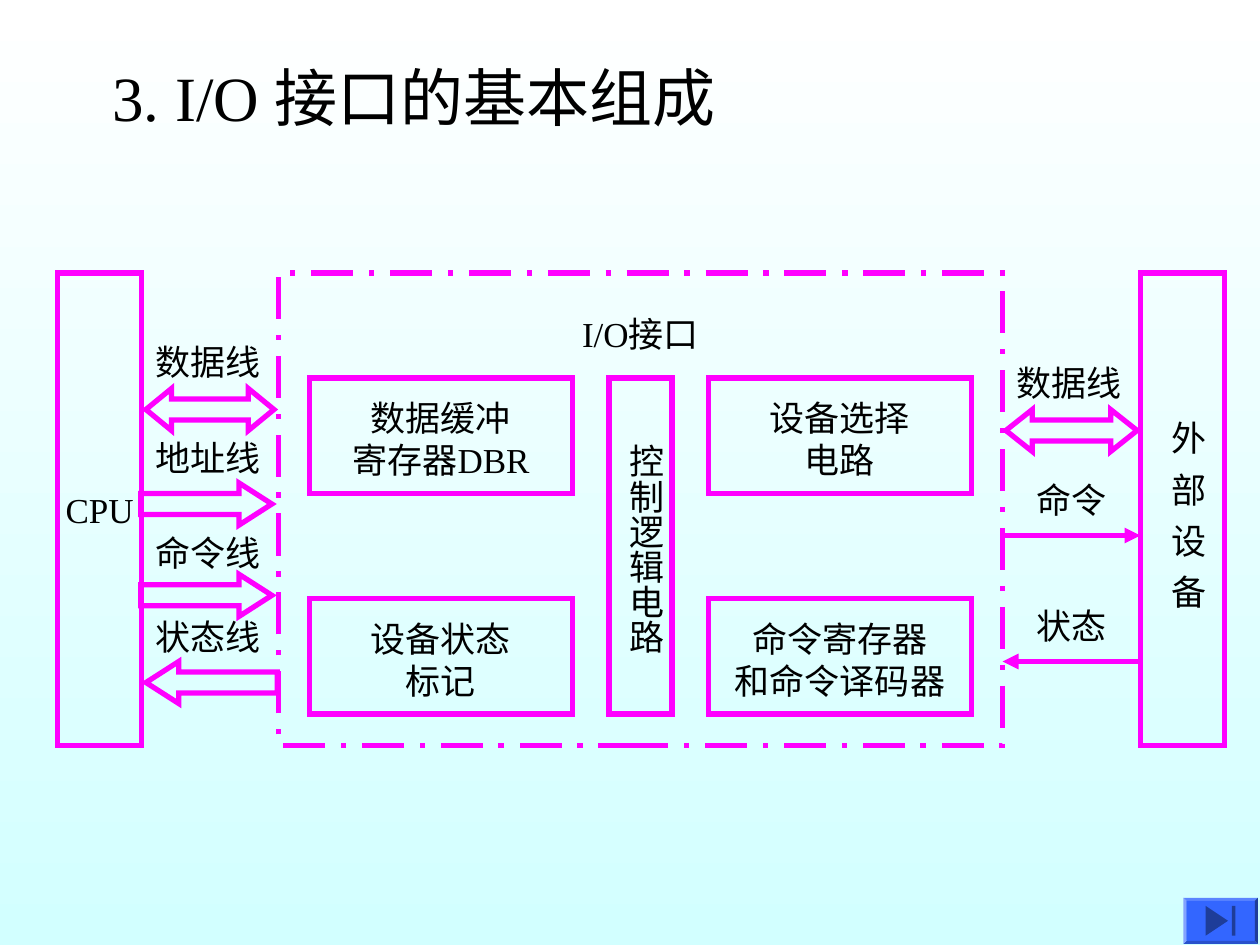
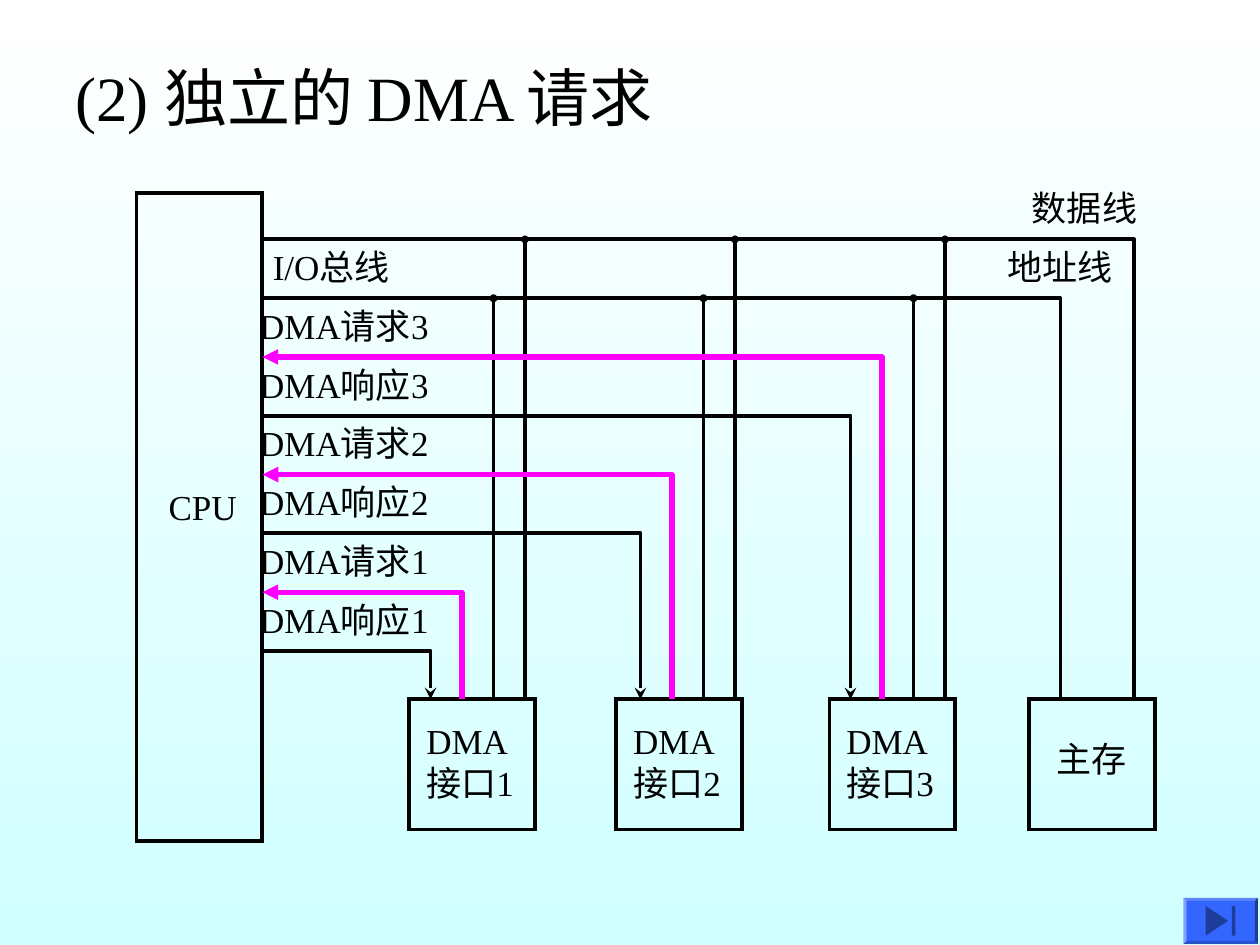
from dataclasses import dataclass

from lxml import etree
from pptx import Presentation, util as u
from pptx.dml.color import RGBColor
from pptx.enum import dml, shapes, text
from pptx.oxml.ns import qn

COLORS = {
    "ink": "000000",
    "accent": "FF00FF",
    "sky_top": "FFFFFF",
    "sky_bottom": "D2FFFF",
    "button": "3366FF",
}
FONT = "Times New Roman"
BODY_SIZE, TITLE_SIZE = 20, 36
THIN, THICK = 2.25, 3
WIDTH, HEIGHT = u.Inches(10), u.Inches(7.5)
COLUMNS, ROWS = 120, 90
LABEL_ROWS = 5.3
CENTER, LEFT = text.PP_ALIGN.CENTER, text.PP_ALIGN.LEFT
MIDDLE, TOP = text.MSO_ANCHOR.MIDDLE, text.MSO_ANCHOR.TOP
KIND = shapes.MSO_SHAPE


@dataclass(frozen=True)
class Area:
    col: float
    row: float
    cols: float
    rows: float

    def emu(self) -> tuple[int, int, int, int]:
        return x(self.col), y(self.row), x(self.cols), y(self.rows)


@dataclass(frozen=True)
class Block:
    area: Area
    words: str = ""
    align: int = CENTER
    anchor: int = MIDDLE
    inset_left: float = 0
    inset_top: float = 0
    inset_bottom: float = 0
    vertical: bool = False
    spacing: float = 0
    dashed: bool = False


@dataclass(frozen=True)
class Label:
    col: float
    row: float
    cols: float
    words: str


@dataclass(frozen=True)
class BusArrow:
    kind: int
    area: Area
    head: float
    turn: float = 0


@dataclass(frozen=True)
class Wire:
    points: tuple[tuple[float, float], ...]
    color: str = "ink"
    width: float = THIN
    start: str = ""
    end: str = ""


def x(col: float) -> int:
    return round(WIDTH * col / COLUMNS)


def y(row: float) -> int:
    return round(HEIGHT * row / ROWS)


def rgb(name: str) -> RGBColor:
    return RGBColor.from_string(COLORS[name])


def write(frame, words: str, size: float = BODY_SIZE, align: int = LEFT, spacing: float = 0) -> None:
    frame.text = words
    for paragraph in frame.paragraphs:
        paragraph.alignment = align
        for run in paragraph.runs:
            run.font.name = FONT
            run.font.size = u.Pt(size)
            run.font.color.rgb = rgb("ink")
            if spacing:
                run._r.get_or_add_rPr().set("spc", str(round(spacing * 100)))


def add_text(slide, area: Area, words: str, size: float = BODY_SIZE) -> None:
    frame = slide.shapes.add_textbox(*area.emu()).text_frame
    frame.word_wrap = False
    frame.auto_size = text.MSO_AUTO_SIZE.SHAPE_TO_FIT_TEXT
    write(frame, words, size)


def add_labels(slide, labels: list[Label]) -> None:
    for label in labels:
        add_text(slide, Area(label.col, label.row, label.cols, LABEL_ROWS), label.words)


def outline(shape, color: str, width: float) -> None:
    shape.shadow.inherit = False
    shape.fill.background()
    shape.line.color.rgb = rgb(color)
    shape.line.width = u.Pt(width)


def miter(shape) -> None:
    etree.SubElement(shape.line._get_or_add_ln(), qn("a:miter"), lim="800000")


def add_block(slide, block: Block, color: str, width: float) -> None:
    box = slide.shapes.add_shape(KIND.RECTANGLE, *block.area.emu())
    outline(box, color, width)
    if block.dashed:
        box.line.dash_style = dml.MSO_LINE.LONG_DASH_DOT
    miter(box)
    frame = box.text_frame
    frame.word_wrap = True
    frame.vertical_anchor = block.anchor
    frame.margin_left, frame.margin_right = x(block.inset_left), 0
    frame.margin_top, frame.margin_bottom = y(block.inset_top), y(block.inset_bottom)
    if block.vertical:
        frame._txBody.bodyPr.set("vert", "eaVert")
    write(frame, block.words, align=block.align, spacing=block.spacing)


def add_bus_arrow(slide, arrow: BusArrow) -> None:
    bus = slide.shapes.add_shape(arrow.kind, *arrow.area.emu())
    bus.adjustments[0], bus.adjustments[1] = 0.5, arrow.head
    bus.rotation = arrow.turn
    outline(bus, "accent", THICK)
    miter(bus)


def add_wire(slide, wire: Wire) -> None:
    points = [(x(col), y(row)) for col, row in wire.points]
    if len(points) == 2:
        path = slide.shapes.add_connector(shapes.MSO_CONNECTOR.STRAIGHT, *points[0], *points[1])
        path.line.color.rgb = rgb(wire.color)
        path.line.width = u.Pt(wire.width)
        etree.SubElement(path._element.spPr, qn("a:effectLst"))
    else:
        builder = slide.shapes.build_freeform(*points[0])
        builder.add_line_segments(points[1:], close=False)
        path = builder.convert_to_shape()
        outline(path, wire.color, wire.width)
    line = path.line._get_or_add_ln()
    for tag, tip in (("a:headEnd", wire.start), ("a:tailEnd", wire.end)):
        if tip:
            size = "sm" if tip == "oval" else "med"
            etree.SubElement(line, qn(tag), type=tip, w=size, len=size)


def paint_background(deck) -> None:
    fill = deck.slide_master.background.fill
    fill.gradient()
    fill.gradient_angle = 270
    for stop, name, position in zip(fill.gradient_stops, ("sky_top", "sky_bottom"), (0, 1)):
        stop.color.rgb = rgb(name)
        stop.position = position


def add_end_button(slide) -> None:
    rim = slide.shapes.add_shape(KIND.BEVEL, *Area(112.7, 85.5, 7.1, 4.4).emu())
    rim.adjustments[0] = 0.07
    face = slide.shapes.add_shape(KIND.ACTION_BUTTON_END, *Area(113, 85.8, 6.5, 3.8).emu())
    for part in (rim, face):
        part.shadow.inherit = False
        part.fill.solid()
        part.fill.fore_color.rgb = rgb("button")
        part.line.fill.background()


def start_slide(deck, title: str, title_col: float):
    slide = deck.slides.add_slide(deck.slide_layouts[6])
    add_text(slide, Area(title_col, 5, 62, 8.4), title, TITLE_SIZE)
    add_end_button(slide)
    return slide


def build_interface_slide(deck) -> None:
    slide = start_slide(deck, "3. I/O 接口的基本组成", 9.5)
    units = (
        ("数据缓冲\n寄存器DBR", "设备选择\n电路"),
        ("设备状态\n标记", "命令寄存器\n和命令译码器"),
    )
    blocks = [
        Block(Area(29.5 + 38 * across, 36 + 21 * down, 25, 11), words, inset_top=0.6)
        for down, pair in enumerate(units)
        for across, words in enumerate(pair)
    ]
    blocks += [
        Block(Area(58, 36, 6, 32), "控制逻辑电路", align=LEFT, inset_left=1, inset_top=6.3,
              vertical=True),
        Block(Area(26.5, 26, 69, 45), "I/O接口", anchor=TOP, inset_top=3.8, dashed=True),
        Block(Area(108.6, 26, 8, 45), "外部设备", align=LEFT, inset_left=1, inset_top=14.1,
              vertical=True, spacing=9.3),
        Block(Area(5.5, 26, 8, 45), "CPU"),
    ]
    for block in blocks:
        add_block(slide, block, "accent", THICK)

    for arrow in (
        BusArrow(KIND.LEFT_RIGHT_ARROW, Area(13.9, 37, 12.2, 4), 0.61),
        BusArrow(KIND.RIGHT_ARROW, Area(13.4, 46, 12.5, 4), 0.78),
        BusArrow(KIND.RIGHT_ARROW, Area(13.4, 54.7, 12.5, 4), 0.78),
        BusArrow(KIND.RIGHT_ARROW, Area(13.9, 63, 12.5, 4), 0.78, 180),
        BusArrow(KIND.LEFT_RIGHT_ARROW, Area(95.8, 39, 12.5, 4), 0.63),
    ):
        add_bus_arrow(slide, arrow)

    interface_edge, device_edge = 95.5, 108.6
    command_row, status_row = 51, 63
    for ends in (
        ((interface_edge, command_row), (device_edge, command_row)),
        ((device_edge, status_row), (interface_edge, status_row)),
    ):
        add_wire(slide, Wire(ends, "accent", THICK, end="triangle"))

    add_labels(slide, [
        Label(13.6, 31.8, 12.4, "数据线"),
        Label(13.6, 41, 12.4, "地址线"),
        Label(13.6, 50, 12.4, "命令线"),
        Label(13.6, 58, 12.4, "状态线"),
        Label(95.6, 33.8, 12.4, "数据线"),
        Label(97.5, 45, 10, "命令"),
        Label(97.5, 57, 10, "状态"),
    ])


def build_request_slide(deck) -> None:
    slide = start_slide(deck, "(2) 独立的 DMA 请求", 6)
    cpu_edge, port_top, pitch = 25, 66.6, 5.6
    data_row = 22.8
    address_row = data_row + pitch

    blocks = [
        Block(Area(13, 18.4, 12, 61.7), "CPU", inset_left=0.6, inset_bottom=2),
        Block(Area(98, port_top, 12, 12.4), "主存", inset_bottom=1.1),
    ]
    wires = [
        Wire(((cpu_edge, row), (col, row), (col, port_top)))
        for col, row in ((101, address_row), (108, data_row))
    ]
    labels = [
        Label(97.1, data_row - pitch, 12.4, "数据线"),
        Label(94.8, address_row - pitch, 12.4, "地址线"),
        Label(24.8, address_row - pitch, 14.3, "I/O总线"),
    ]
    for number, port_col in enumerate((39, 58.7, 79), start=1):
        reply_col = 21 + 20 * number
        request_col, address_col, data_col = (reply_col + 3 * step for step in (1, 2, 3))
        request_row = data_row + pitch * (8 - 2 * number)
        reply_row = request_row + pitch
        blocks.append(Block(Area(port_col, port_top, 12, 12.4), f"DMA\n接口{number}",
                            align=LEFT, inset_left=1.6, inset_bottom=0.6))
        wires += [
            Wire(((cpu_edge, reply_row), (reply_col, reply_row), (reply_col, port_top)),
                 end="stealth"),
            Wire(((cpu_edge, request_row), (request_col, request_row), (request_col, port_top)),
                 "accent", THICK, start="triangle"),
            Wire(((address_col, port_top), (address_col, address_row)), end="oval"),
            Wire(((data_col, port_top), (data_col, data_row)), end="oval"),
        ]
        labels += [
            Label(23.5, request_row - pitch, 20.2, f"DMA请求{number}"),
            Label(23.5, reply_row - pitch, 20.2, f"DMA响应{number}"),
        ]

    for block in blocks:
        add_block(slide, block, "ink", THIN)
    for wire in wires:
        add_wire(slide, wire)
    add_labels(slide, labels)


def main() -> None:
    deck = Presentation()
    deck.slide_width, deck.slide_height = WIDTH, HEIGHT
    paint_background(deck)
    build_interface_slide(deck)
    build_request_slide(deck)
    deck.save("out.pptx")


if __name__ == "__main__":
    main()
